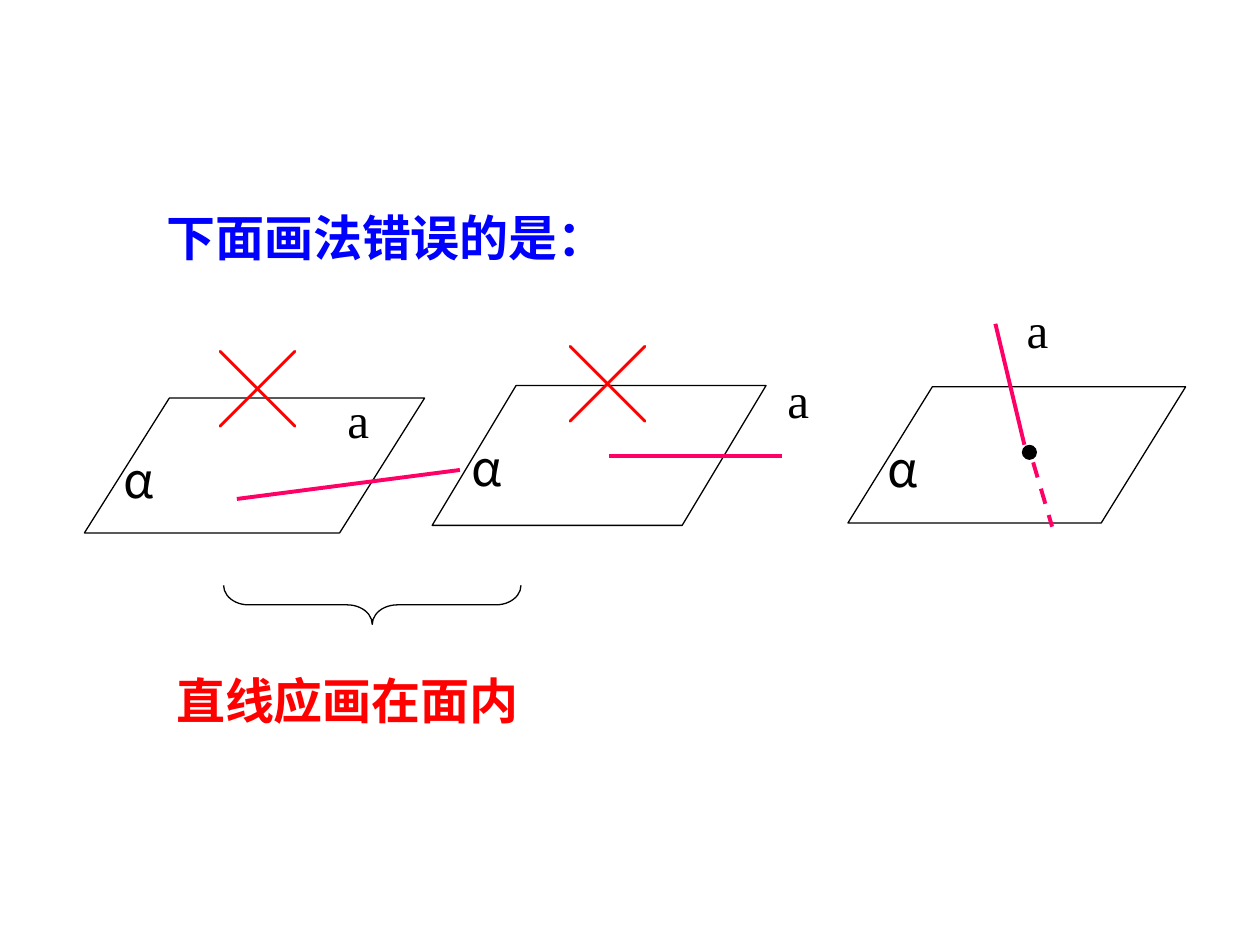
from pptx import Presentation
from pptx import util as u
from pptx.dml.color import RGBColor
from pptx.enum import dml, shapes, text
from pptx.oxml.ns import qn
from lxml import etree

COLORS = {"ink": "000000", "question": "0000FF", "wrong": "FF0000", "line": "FF0066"}
CJK_FONT = "Noto Sans CJK SC"


def rgb(name):
    return RGBColor.from_string(COLORS[name])


def place(box):
    return [u.Inches(length) for length in box]


def write(shape, words, font, color, size=28, bold=False, align=text.PP_ALIGN.LEFT, wrap=True):
    frame = shape.text_frame
    frame.word_wrap = wrap
    frame.auto_size = text.MSO_AUTO_SIZE.SHAPE_TO_FIT_TEXT
    frame.vertical_anchor = text.MSO_ANCHOR.TOP
    paragraph = frame.paragraphs[0]
    paragraph.alignment = align
    run = paragraph.add_run()
    run.text = words
    run.font.size = u.Pt(size)
    run.font.bold = bold
    run.font.color.rgb = rgb(color)
    run.font.name = font
    east_asian = etree.SubElement(run.font._element, qn("a:ea"))
    east_asian.set("typeface", CJK_FONT)


def add_label(parent, box, words, font, color, **style):
    label = parent.shapes.add_textbox(*place(box))
    write(label, words, font, color, **style)
    return label


def add_outline(parent, kind, box, adjustments):
    shape = parent.shapes.add_shape(kind, *place(box))
    shape.shadow.inherit = False
    shape.fill.background()
    shape.line.color.rgb = rgb("ink")
    shape.line.width = u.Pt(0.75)
    for index, value in enumerate(adjustments):
        shape.adjustments[index] = value
    return shape


def add_line(parent, start, end, dashed=False):
    line = parent.shapes.add_connector(
        shapes.MSO_CONNECTOR.STRAIGHT, *place(start + end))
    line.line.color.rgb = rgb("line")
    line.line.width = u.Pt(2.25)
    if dashed:
        line.line.dash_style = dml.MSO_LINE.DASH
    etree.SubElement(line._element.spPr, qn("a:effectLst"))


def add_plane(slide, box, slant, start, end, name_offset):
    left, top, width, height = box
    group = slide.shapes.add_group_shape()
    add_outline(group, shapes.MSO_SHAPE.PARALLELOGRAM, box, [slant])
    alpha = add_label(group, (left + 0.12, top + 0.36, 0.83, 0.57), "α", CJK_FONT, "ink")
    alpha.text_frame.margin_left = u.Inches(0.19)
    name_left, name_top = name_offset
    add_label(group, (left + name_left, top + name_top, 0.37, 0.57), "a",
              "Times New Roman", "ink", wrap=False)
    add_line(group, start, end)
    return group


def add_crossing(group, left, top):
    point = group.shapes.add_shape(
        shapes.MSO_SHAPE.OVAL, *place((left, top, 0.12, 0.12)))
    point.shadow.inherit = False
    point.fill.solid()
    point.fill.fore_color.rgb = rgb("ink")
    point.line.fill.background()
    add_line(group, (left + 0.09, top + 0.14), (left + 0.24, top + 0.65), dashed=True)


def add_cross(slide, left, top):
    add_label(slide, (left, top, 2.01, 0.84), "╳", CJK_FONT, "wrong",
              size=44, bold=True, align=text.PP_ALIGN.CENTER)


def add_question(slide, box):
    title = slide.shapes.title
    title.left, title.top, title.width, title.height = place(box)
    write(title, "下面画法错误的是：", "Arial", "question", bold=True)


def add_explanation(slide, box):
    left, top, width, height = box
    add_label(slide, box, "直线应画在面内", "Arial", "wrong", bold=True)
    brace = add_outline(slide, shapes.MSO_SHAPE.LEFT_BRACE,
                        (left + 1.5, top - 1.65, 0.31, 2.36), [0.64, 0.5])
    brace.rotation = 270


def main():
    presentation = Presentation()
    presentation.slide_width = u.Inches(10)
    presentation.slide_height = u.Inches(7.5)
    slide = presentation.slides.add_slide(presentation.slide_layouts[5])
    add_question(slide, (1.22, 1.6, 4.44, 0.57))
    add_plane(slide, (3.43, 3.06, 2.65, 1.11), 0.6, (4.83, 3.62), (6.21, 3.62), (2.72, -0.18))
    crossed = add_plane(slide, (6.73, 3.07, 2.68, 1.08), 0.62,
                        (7.9, 2.57), (8.13, 3.53), (1.32, -0.74))
    add_crossing(crossed, 8.11, 3.53)
    add_plane(slide, (0.67, 3.16, 2.7, 1.07), 0.63, (1.88, 3.96), (3.65, 3.73), (1.99, -0.12))
    add_explanation(slide, (1.3, 5.27, 3.5, 0.57))
    add_cross(slide, 1.04, 2.66)
    add_cross(slide, 3.82, 2.62)
    presentation.save("out.pptx")


if __name__ == "__main__":
    main()
